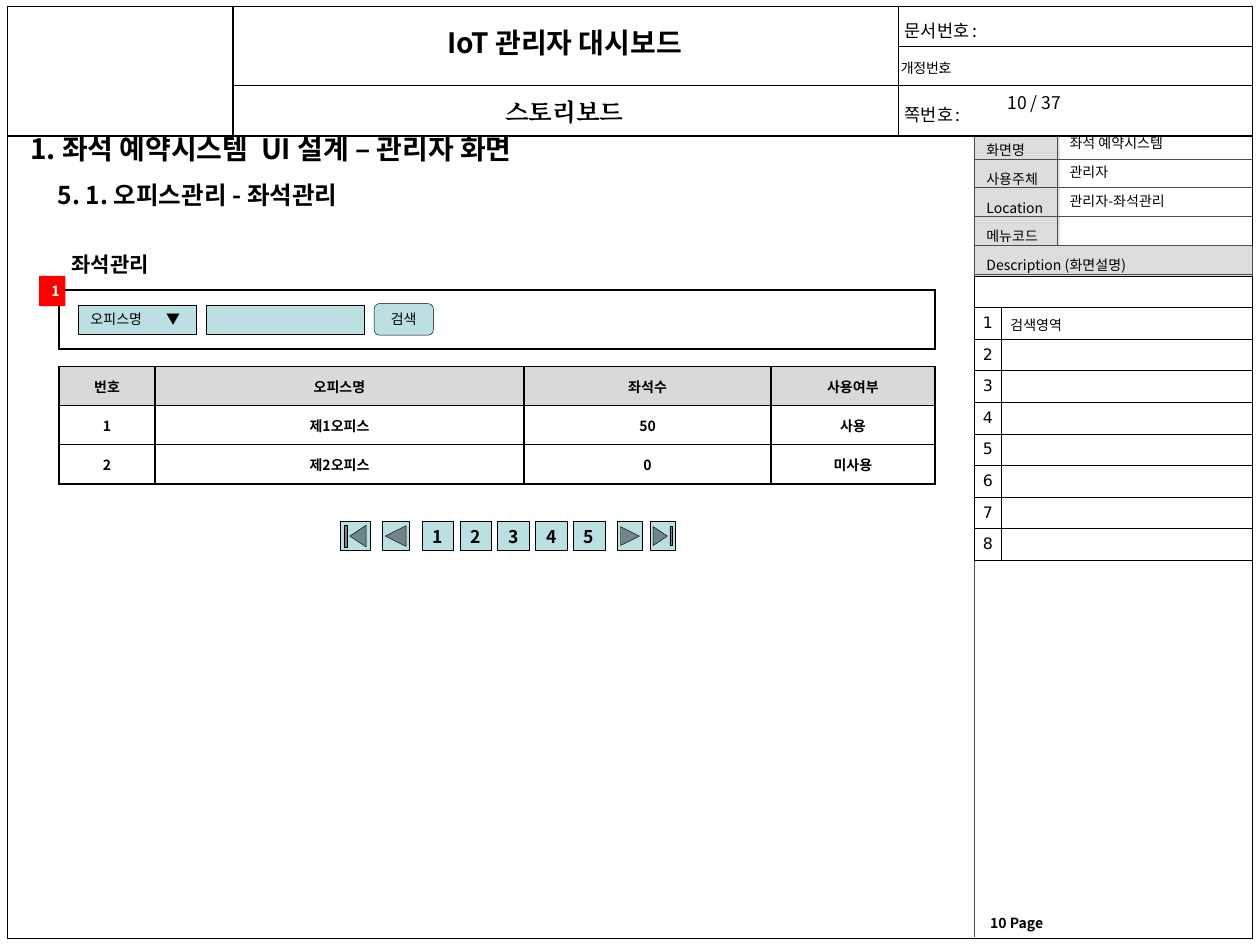
from dataclasses import dataclass

from lxml import etree
from pptx import Presentation
from pptx.dml.color import RGBColor
from pptx.enum.shapes import MSO_CONNECTOR, MSO_SHAPE
from pptx.enum.text import MSO_ANCHOR, PP_ALIGN
from pptx.oxml.ns import qn
from pptx.util import Inches, Pt

LEFT, CENTER = PP_ALIGN.LEFT, PP_ALIGN.CENTER
TOP, MIDDLE = MSO_ANCHOR.TOP, MSO_ANCHOR.MIDDLE
RECTANGLE, ROUNDED = MSO_SHAPE.RECTANGLE, MSO_SHAPE.ROUNDED_RECTANGLE
FIRST, PREVIOUS = MSO_SHAPE.ACTION_BUTTON_BEGINNING, MSO_SHAPE.ACTION_BUTTON_BACK_OR_PREVIOUS
NEXT, LAST = MSO_SHAPE.ACTION_BUTTON_FORWARD_OR_NEXT, MSO_SHAPE.ACTION_BUTTON_END
STRAIGHT = MSO_CONNECTOR.STRAIGHT
TITLE_ONLY = 5
TEXT_INSETS = (0.1, 0.05, 0.1, 0.05)
NO_INSETS = (0, 0, 0, 0)
HEADER_INSETS = (0.02, 0, 0.04, 0)


@dataclass(frozen=True)
class Theme:
    """Colours, fonts and type sizes of the storyboard."""
    ink: str = "000000"
    paper: str = "FFFFFF"
    label: str = "DDDDDD"
    heading: str = "D9D9D9"
    control: str = "BBE0E3"
    badge: str = "FF0000"
    rule: str = "4D4D4D"
    font: str = "Noto Sans CJK KR"
    serif: str = "Times New Roman"
    digits: str = "DejaVu Sans"
    title: int = 16
    subtitle: int = 14
    section: int = 12
    body: int = 10
    index: int = 9
    small: int = 8
    hairline: float = 0.25
    border: float = 1


THEME = Theme()


def color(value):
    """Turn a hex value into a colour."""
    return RGBColor.from_string(value)


def inches(values):
    """Turn a sequence of numbers into lengths."""
    return [Inches(value) for value in values]


def write(paragraph, text, size=THEME.small, bold=False, font=THEME.font, ink=THEME.ink, align=LEFT):
    """Add one formatted run to a paragraph and return it."""
    paragraph.alignment = align
    run = paragraph.add_run()
    run.text = text
    run.font.size, run.font.bold, run.font.name = Pt(size), bold, font
    run.font.color.rgb = color(ink)
    etree.SubElement(run.font._element, qn("a:ea"), typeface=font)
    return run


def set_frame(frame, insets=TEXT_INSETS, anchor=TOP):
    """Set wrapping, insets and anchor, and return the first paragraph."""
    frame.word_wrap = True
    frame.vertical_anchor = anchor
    frame.margin_left, frame.margin_top, frame.margin_right, frame.margin_bottom = inches(insets)
    return frame.paragraphs[0]


def add_text(slide, box, text, **style):
    """Add a text box with one run."""
    shape = slide.shapes.add_textbox(*inches(box))
    write(set_frame(shape.text_frame), text, **style)


def add_box(shapes, box, fill=None, line=None, kind=RECTANGLE):
    """Add a flat preset shape."""
    shape = shapes.add_shape(kind, *inches(box))
    shape.shadow.inherit = False
    if fill:
        shape.fill.solid()
        shape.fill.fore_color.rgb = color(fill)
    else:
        shape.fill.background()
    if line:
        shape.line.color.rgb, shape.line.width = color(line), Pt(THEME.hairline)
    else:
        shape.line.fill.background()
    return shape


def add_control(shapes, box, text="", kind=RECTANGLE, **style):
    """Add a control with an optional centred caption."""
    shape = add_box(shapes, box, THEME.control, THEME.ink, kind)
    if text:
        write(set_frame(shape.text_frame, NO_INSETS, MIDDLE), text, align=CENTER, **style)
    return shape


def add_rule(slide, start, end):
    """Add a thin grey line."""
    line = slide.shapes.add_connector(STRAIGHT, *inches(start + end))
    line.line.color.rgb, line.line.width = color(THEME.rule), Pt(THEME.hairline)
    etree.SubElement(line._element.spPr, qn("a:effectLst"))


def add_grid(slide, origin, columns, rows, border=THEME.border):
    """Add a white table with even black borders."""
    frame = slide.shapes.add_table(len(rows), len(columns), *inches((*origin, sum(columns), sum(rows))))
    table = frame.table
    table.first_row = table.horz_banding = False
    for column, width in zip(table.columns, columns):
        column.width = Inches(width)
    for row, height in zip(table.rows, rows):
        row.height = Inches(height)
    for cell in table.iter_cells():
        properties = cell._tc.get_or_add_tcPr()
        for side in ("lnL", "lnR", "lnT", "lnB"):
            line = etree.SubElement(properties, qn(f"a:{side}"), w=str(Pt(border)))
            fill = etree.SubElement(line, qn("a:solidFill"))
            etree.SubElement(fill, qn("a:srgbClr"), val=THEME.ink)
        cell.fill.solid()
        cell.fill.fore_color.rgb = color(THEME.paper)
        etree.SubElement(cell.text_frame.paragraphs[0]._p, qn("a:endParaRPr"), sz=str(THEME.small * 100))
    return table


def fill_cell(cell, text, insets=TEXT_INSETS, anchor=MIDDLE, **style):
    """Write one run into a table cell and return the run and paragraph."""
    cell.vertical_anchor = anchor
    cell.margin_left, cell.margin_top, cell.margin_right, cell.margin_bottom = inches(insets)
    paragraph = cell.text_frame.paragraphs[0]
    return write(paragraph, text, **style), paragraph


def add_header(slide, left, top, width):
    """Add the document header table and page count."""
    columns = (1.79, 5.28, width - 7.07)
    table = add_grid(slide, (left, top), columns, (0.32, 0.31, 0.4))
    table.cell(0, 0).merge(table.cell(2, 0))
    table.cell(0, 1).merge(table.cell(1, 1))
    for row, text, size, font in ((0, "IoT 관리자 대시보드", THEME.title, THEME.font),
                                  (2, "스토리보드", THEME.subtitle, THEME.serif)):
        paragraph = fill_cell(table.cell(row, 1), text, HEADER_INSETS, size=size, bold=True,
                              font=font, align=CENTER)[1]
        paragraph.line_spacing = Pt(18)
    for row, text in enumerate(("문 서 번 호 :", "개 정 번 호 :", "쪽 번 호 :")):
        run, paragraph = fill_cell(table.cell(row, 2), text, HEADER_INSETS, size=THEME.body)
        run.font._element.set("spc", "-100")
        if row == 1:
            run.font._element.set("cap", "small")
            paragraph.space_before = Pt(6)
        else:
            paragraph._p.get_or_add_pPr().set("marL", str(Inches(0.03)))
            paragraph.line_spacing = Pt(18)
    add_text(slide, (left + 7.84, top + 0.63, 0.73, 0.27), "10 / 37", size=THEME.body)


def add_title(slide, box, text):
    """Place the slide title in front of the header."""
    title = slide.shapes.title
    title.left, title.top, title.width, title.height = inches(box)
    write(set_frame(title.text_frame), text, size=THEME.title, bold=True)
    slide.shapes._spTree.append(title._element)


def add_description(slide, left, top, width, height):
    """Add the screen facts and the numbered description panel."""
    pitch, split, right = 0.23, left + 0.66, left + width
    add_box(slide.shapes, (left, top + 4 * pitch, width, 0.24), THEME.label)
    add_box(slide.shapes, (left, top, 0.68, 4 * pitch + 0.02), THEME.label)
    add_rule(slide, (left, top), (left, top + height))
    add_rule(slide, (split, top), (split, top + 4 * pitch))
    for row in range(6):
        add_rule(slide, (left, top + row * pitch), (right, top + row * pitch))
    labels = slide.shapes.add_textbox(*inches((left, top, width, 5 * pitch)))
    paragraph = set_frame(labels.text_frame, (0.1, 0, 0, 0))
    for row, text in enumerate(("화면명", "사용주체", "Location", "메뉴코드", "Description (화면설명)")):
        paragraph = labels.text_frame.add_paragraph() if row else paragraph
        paragraph.line_spacing = Pt(16.4)
        write(paragraph, text)
    for row, text in enumerate(("좌석 예약시스템", "관리자", "관리자-좌석관리")):
        add_text(slide, (split, top - 0.01 + row * pitch, 1.1, 0.24), text)
    table = add_grid(slide, (left, top + 1.16), (0.22, width - 0.22), [0.25] * 9, THEME.hairline)
    table.cell(0, 0).merge(table.cell(0, 1))
    for row in range(1, 9):
        fill_cell(table.cell(row, 0), str(row), (0.04, 0.05, 0.04, 0.05), TOP,
                  size=THEME.index, font=THEME.digits, align=CENTER)
    fill_cell(table.cell(1, 1), "검색영역", (0.07, 0.05, 0.07, 0.05), TOP)
    add_text(slide, (left + 0.03, top + height - 0.23, 0.75, 0.23), "10 Page", bold=True)


def add_search(slide, left, top, width):
    """Add the search bar with its numbered badge."""
    add_grid(slide, (left, top), (width,), (0.47,))
    office = add_control(slide.shapes, (left + 0.15, top + 0.12, 0.94, 0.23))
    paragraph = set_frame(office.text_frame, (0.1, 0, 0, 0), MIDDLE)
    write(paragraph, "오피스명\t▼")
    tabs = etree.SubElement(paragraph._p.get_or_add_pPr(), qn("a:tabLst"))
    etree.SubElement(tabs, qn("a:tab"), pos=str(Inches(0.6)), algn="l")
    add_control(slide.shapes, (left + 1.17, top + 0.12, 1.25, 0.23))
    add_control(slide.shapes, (left + 2.5, top + 0.11, 0.47, 0.25), "검색", ROUNDED)
    badge = add_box(slide.shapes, (left - 0.16, top - 0.11, 0.21, 0.24), THEME.badge)
    write(set_frame(badge.text_frame, (0.1, 0.05, 0, 0.05)), "1", bold=True, ink=THEME.paper)


def add_seats(slide, left, top, width):
    """Add the table of offices and seats."""
    rows = (("번호", "오피스명", "좌석수", "사용여부"), ("1", "제1오피스", "50", "사용"),
            ("2", "제2오피스", "0", "미사용"))
    table = add_grid(slide, (left, top), (0.76, 2.93, 1.96, width - 5.65), [0.31] * len(rows))
    for row, texts in enumerate(rows):
        for column, text in enumerate(texts):
            cell = table.cell(row, column)
            fill_cell(cell, text, bold=True, align=CENTER)
            if row == 0:
                cell.fill.fore_color.rgb = color(THEME.heading)


def add_pager(slide, left, top, height):
    """Add the grouped page buttons."""
    shapes = slide.shapes.add_group_shape().shapes
    for offset, width, kind in ((0, 0.24, FIRST), (0.33, 0.22, PREVIOUS), (2.2, 0.2, NEXT), (2.46, 0.2, LAST)):
        add_control(shapes, (left + offset, top, width, height), kind=kind)
    for number in range(5):
        add_control(shapes, (left + 0.65 + 0.3 * number, top, 0.25, height), str(number + 1),
                    size=THEME.body, bold=True)


def main():
    """Build and save the storyboard slide."""
    presentation = Presentation()
    presentation.slide_width, presentation.slide_height = Inches(10), Inches(7.5)
    slide = presentation.slides.add_slide(presentation.slide_layouts[TITLE_ONLY])
    add_box(slide.shapes, (0.06, 0.05, 9.88, 7.4), line=THEME.ink)
    add_description(slide, 7.73, 1.03, 2.21, 6.41)
    add_header(slide, 0.06, 0.05, 9.88)
    add_title(slide, (0.14, 0.99, 4.42, 0.37), "1. 좌석 예약시스템  UI 설계 – 관리자 화면")
    add_text(slide, (0.36, 1.38, 2.68, 0.34), "5. 1. 오피스관리 - 좌석관리", size=THEME.subtitle, bold=True)
    add_text(slide, (0.47, 1.95, 0.86, 0.3), "좌석관리", size=THEME.section, bold=True)
    add_search(slide, 0.47, 2.3, 6.95)
    add_seats(slide, 0.47, 2.91, 6.95)
    add_pager(slide, 2.7, 4.14, 0.23)
    presentation.save("out.pptx")


if __name__ == "__main__":
    main()
